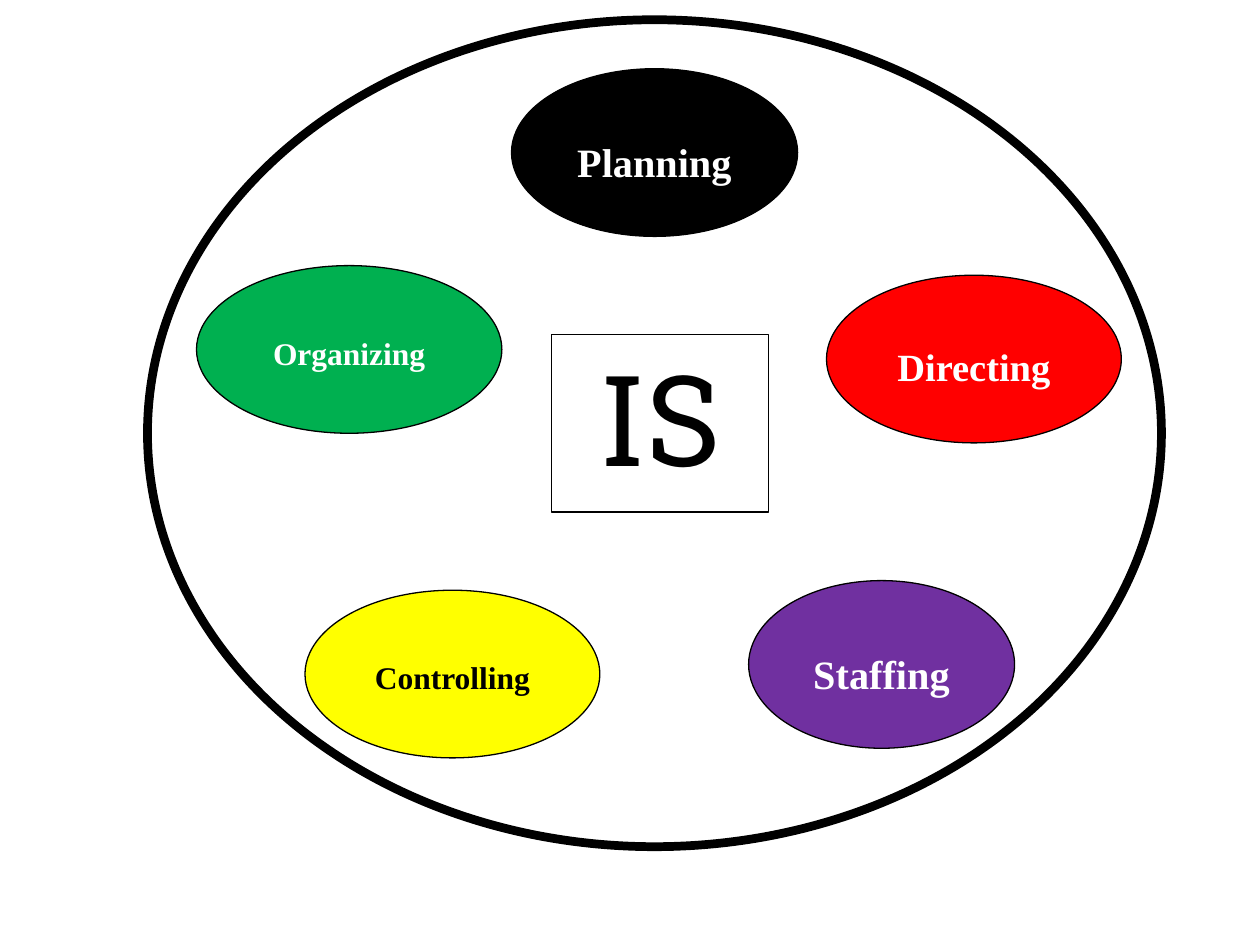
from pptx import Presentation
from pptx.dml.color import RGBColor
from pptx.enum.shapes import MSO_SHAPE
from pptx.enum.text import MSO_ANCHOR, PP_ALIGN
from pptx.util import Pt

OVAL, RECTANGLE = MSO_SHAPE.OVAL, MSO_SHAPE.RECTANGLE
TOP, CENTER = MSO_ANCHOR.TOP, PP_ALIGN.CENTER
BLANK_LAYOUT = 6

COLORS = {
    "black": "000000",
    "white": "FFFFFF",
    "green": "00B050",
    "yellow": "FFFF00",
    "purple": "7030A0",
    "red": "FF0000",
}
FUNCTION_HEIGHT = 95.8
FUNCTION_TEXT_INSET = 25

# label, left and top within the ring, width, text size, fill, text colour
FUNCTIONS = [
    ("Planning", 208, 28, 163.5, 23, "black", "white"),
    ("Organizing", 28, 140.5, 174.5, 18, "green", "white"),
    ("Controlling", 90, 326, 168.5, 18, "yellow", "black"),
    ("Staffing", 343.5, 320.5, 152, 23, "purple", "white"),
    ("Directing", 388, 146, 168.5, 22, "red", "white"),
]


def color(name):
    return RGBColor.from_string(COLORS[name])


def add_outlined(slide, kind, box, line_width, fill=None):
    """Add a black-outlined shape, hollow unless a fill is named."""
    shape = slide.shapes.add_shape(kind, *map(Pt, box))
    shape.shadow.inherit = False
    shape.line.color.rgb = color("black")
    shape.line.width = Pt(line_width)
    if fill:
        shape.fill.solid()
        shape.fill.fore_color.rgb = color(fill)
    else:
        shape.fill.background()
    return shape


def write_label(shape, label, font_name, size, text_color, bold, top_inset):
    frame = shape.text_frame
    frame.word_wrap = True
    frame.vertical_anchor = TOP
    frame.margin_top = Pt(top_inset)
    paragraph = frame.paragraphs[0]
    paragraph.text = label
    paragraph.alignment = CENTER
    font = paragraph.font
    font.name, font.size, font.bold = font_name, Pt(size), bold
    font.color.rgb = color(text_color)


def add_management_ring(slide, left, top, width, height):
    """Draw the ring with the IS box and the five management functions."""
    add_outlined(slide, OVAL, (left, top, width, height), 5)

    core = add_outlined(slide, RECTANGLE,
                        (left + 231, top + 180, 123.8, 101.3), 0.75, "white")
    write_label(core, "IS", "Roboto Slab", 72, "black", False, 3.6)

    for label, x, y, oval_width, size, fill, text_color in FUNCTIONS:
        oval = add_outlined(slide, OVAL,
                            (left + x, top + y, oval_width, FUNCTION_HEIGHT),
                            0.75, fill)
        write_label(oval, label, "Times New Roman", size, text_color, True,
                    FUNCTION_TEXT_INSET)


def main():
    deck = Presentation()
    deck.slide_width, deck.slide_height = Pt(720), Pt(540)
    slide = deck.slides.add_slide(deck.slide_layouts[BLANK_LAYOUT])
    add_management_ring(slide, 84.3, 11.3, 579.4, 472.5)
    deck.save("out.pptx")


if __name__ == "__main__":
    main()
